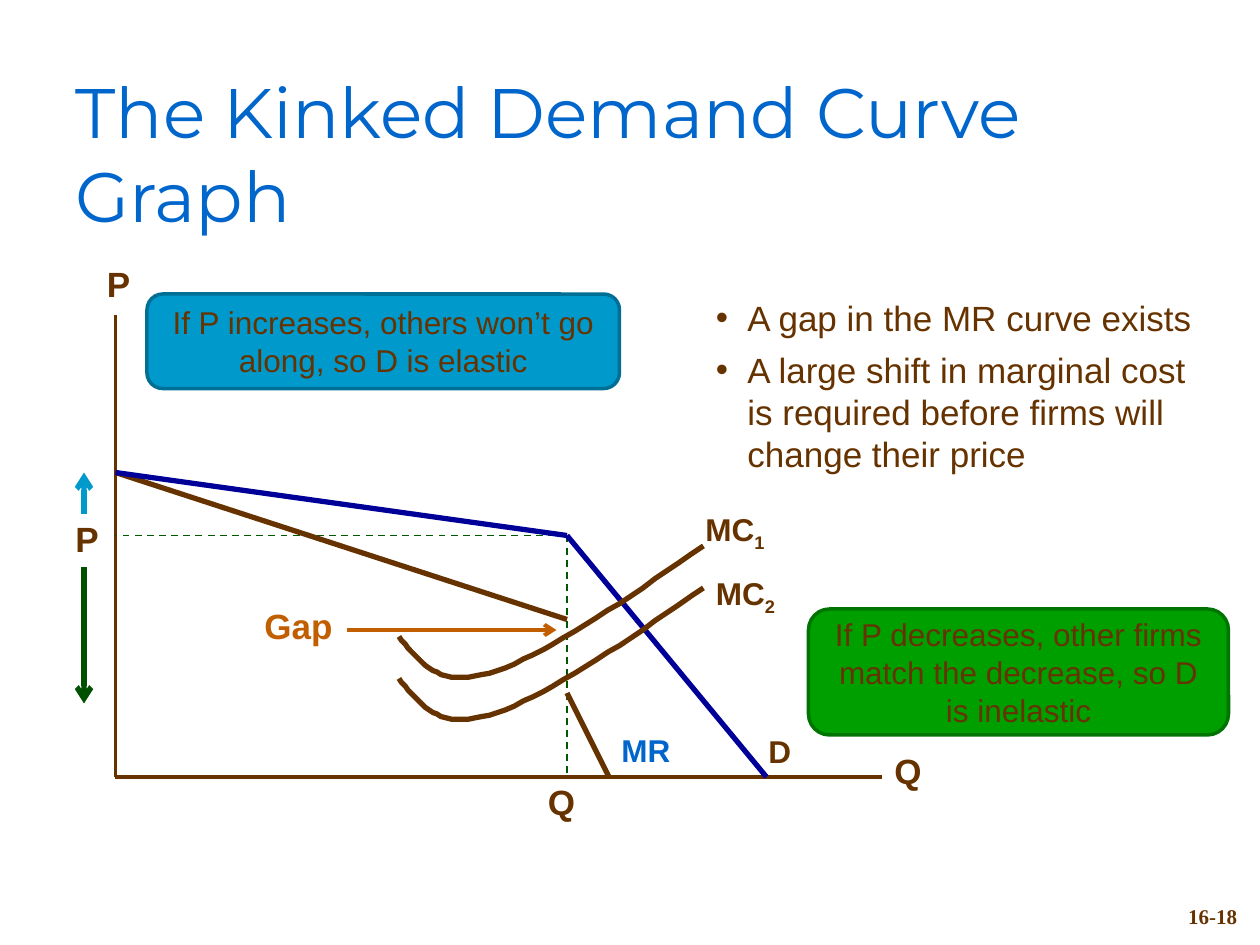
from dataclasses import dataclass

from lxml.etree import SubElement
from pptx import Presentation
from pptx.dml.color import RGBColor
from pptx.enum.dml import MSO_LINE_DASH_STYLE as Dash
from pptx.enum.shapes import MSO_CONNECTOR as Connector, MSO_SHAPE as Shape
from pptx.enum.text import MSO_ANCHOR as Anchor, MSO_AUTO_SIZE as AutoSize, PP_ALIGN as Align
from pptx.oxml.ns import qn
from pptx.util import Emu, Pt

PX = 9525  # EMU in one px, 96 px to the inch


@dataclass(frozen=True)
class Theme:
    brown: str = "663300"
    blue: str = "0066CC"
    navy: str = "000099"
    cyan: str = "0099CC"
    cyan_edge: str = "006F95"
    green: str = "009F00"
    green_edge: str = "007400"
    dark_green: str = "005000"
    guide: str = "005800"
    orange: str = "C05E00"
    title_font: str = "Montserrat"
    body_font: str = "Arial"
    number_font: str = "Times New Roman"
    title_size: int = 40
    body_size: int = 20
    label_size: int = 18
    number_size: int = 12
    curve_width: float = 3
    axis_width: float = 2.25
    edge_width: float = 2
    guide_width: float = 1


@dataclass(frozen=True)
class Box:
    left: int
    top: int
    width: int
    height: int

    def inner(self, left, top, width, height):
        return Box(self.left + left, self.top + top, width, height)

    def point(self, x, y):
        return self.left + x, self.top + y

    def emu(self):
        return [Emu(v * PX) for v in (self.left, self.top, self.width, self.height)]


THEME = Theme()


def set_values(target, values):
    for name, value in values.items():
        setattr(target, name, value)


def write(para, text, size, color=THEME.brown, font=THEME.body_font, bold=False, base=None):
    span = para.add_run()
    span.text = text
    set_values(span.font, {"name": font, "size": Pt(size), "bold": bold})
    span.font.color.rgb = RGBColor.from_string(color)
    if base is not None:
        span.font._element.set("baseline", str(base))


def add_text_box(page, box, anchor=Anchor.TOP):
    frame = page.shapes.add_textbox(*box.emu()).text_frame
    set_values(frame, {"word_wrap": True, "vertical_anchor": anchor})
    return frame


def style_line(line, color, width):
    line.color.rgb = RGBColor.from_string(color)
    line.width = Pt(width)


def add_line(page, box, start, end, color, width=THEME.curve_width, dashed=False, arrow=False):
    ends = [Emu(v * PX) for v in box.point(*start) + box.point(*end)]
    line = page.shapes.add_connector(Connector.STRAIGHT, *ends)
    style_line(line.line, color, width)
    if dashed:
        line.line.dash_style = Dash.DASH
    properties = line._element.spPr
    if arrow:
        SubElement(properties.find(qn("a:ln")), qn("a:tailEnd"), type="arrow")
    SubElement(properties, qn("a:effectLst"))


def bezier(start, first, second, end, steps=20):
    for step in range(1, steps + 1):
        t = step / steps
        weights = ((1 - t) ** 3, 3 * t * (1 - t) ** 2, 3 * t * t * (1 - t), t ** 3)
        yield tuple(sum(w * p[axis] for w, p in zip(weights, (start, first, second, end)))
                    for axis in (0, 1))


def add_cost_curve(page, box, drop):
    controls = [box.point(x, y + drop) for x, y in (
        (216, 245), (232, 265), (246, 284), (285, 273), (324, 261), (386, 219), (448, 176))]
    points = [*bezier(*controls[:4]), *bezier(*controls[3:])]
    builder = page.shapes.build_freeform(*controls[0], scale=PX)
    builder.add_line_segments(points, close=False)
    curve = builder.convert_to_shape()
    curve.shadow.inherit = False
    curve.fill.background()
    style_line(curve.line, THEME.brown, THEME.curve_width)


def add_label(page, box, text, size, color=THEME.brown, subscript="", spacing=None):
    para = add_text_box(page, box).paragraphs[0]
    if spacing:
        para.line_spacing = Pt(spacing)
    write(para, text, size, color, bold=True)
    if subscript:
        write(para, subscript, size, color, bold=True, base=-25000)


def add_title(page, box, text):
    title = page.shapes.title
    set_values(title, dict(zip(("left", "top", "width", "height"), box.emu())))
    frame = title.text_frame
    set_values(frame, {"word_wrap": True, "auto_size": AutoSize.NONE,
                       "vertical_anchor": Anchor.MIDDLE})
    para = frame.paragraphs[0]
    para.alignment = Align.LEFT
    write(para, text, THEME.title_size, THEME.blue, THEME.title_font)


def add_bullets(page, box, lines):
    frame = add_text_box(page, box)
    for index, text in enumerate(lines):
        para = frame.add_paragraph() if index else frame.paragraphs[0]
        if index:
            para.space_before = Pt(6)
        properties = para._p.get_or_add_pPr()
        properties.set("marL", str(24 * PX))
        properties.set("indent", str(-24 * PX))
        SubElement(properties, qn("a:buFont"), typeface=THEME.body_font)
        SubElement(properties, qn("a:buChar"), char="•")
        write(para, text, THEME.body_size)


def add_callout(page, box, text, fill, edge):
    callout = page.shapes.add_shape(Shape.ROUNDED_RECTANGLE, *box.emu())
    callout.shadow.inherit = False
    callout.fill.solid()
    callout.fill.fore_color.rgb = RGBColor.from_string(fill)
    style_line(callout.line, edge, THEME.edge_width)
    set_values(callout.text_frame, {"word_wrap": True, "vertical_anchor": Anchor.MIDDLE})
    para = callout.text_frame.paragraphs[0]
    para.alignment = Align.CENTER
    write(para, text, THEME.label_size)


def add_graph(page, box):
    corner, intercept, kink = (0, box.height), (0, 120), (344, 168)

    # Axes and guides to the kink
    for end in ((0, 0), (box.width, box.height)):
        add_line(page, box, corner, end, THEME.brown, THEME.axis_width)
    for end in ((0, kink[1]), (kink[0], box.height)):
        add_line(page, box, kink, end, THEME.guide, THEME.guide_width, dashed=True)

    # Marginal revenue with its gap, then kinked demand
    add_line(page, box, intercept, (kink[0], 232), THEME.brown)
    add_line(page, box, (kink[0], 288), (376, box.height), THEME.brown)
    add_line(page, box, intercept, kink, THEME.navy)
    add_line(page, box, kink, (496, box.height), THEME.navy)

    # Marginal cost before and after the shift
    for drop in (0, 32):
        add_cost_curve(page, box, drop)

    # Price moves and gap pointer
    add_line(page, box, (-24, 152), (-24, 120), THEME.cyan, arrow=True)
    add_line(page, box, (-24, 192), (-24, 296), THEME.dark_green, arrow=True)
    add_line(page, box, (176, 240), (336, 240), THEME.orange, THEME.axis_width, arrow=True)

    # Labels
    big, small = THEME.body_size, THEME.label_size
    for place, text, size, extras in (
        ((-16, -34, 72, 31), "P", big, {"spacing": 16}),
        ((-40, 160, 88, 31), "P", big, {"spacing": 16}),
        ((584, 326, 56, 42), "Q", big, {}),
        ((320, 350, 96, 42), "Q", big, {}),
        ((104, 216, 72, 42), "Gap", big, {"color": THEME.orange}),
        ((440, 144, 80, 42), "MC", small, {"subscript": "1"}),
        ((448, 193, 80, 42), "MC", small, {"subscript": "2"}),
        ((488, 313, 72, 38), "D", small, {}),
        ((376, 312, 64, 38), "MR", small, {"color": THEME.blue}),
    ):
        add_label(page, box.inner(*place), text, size, **extras)


def add_page_number(page, box, text):
    para = add_text_box(page, box, Anchor.BOTTOM).paragraphs[0]
    para.alignment = Align.RIGHT
    write(para, text, THEME.number_size, font=THEME.number_font, bold=True)


def main():
    deck = Presentation()
    deck.slide_width, deck.slide_height = Emu(960 * PX), Emu(720 * PX)
    page = deck.slides.add_slide(deck.slide_layouts[5])
    add_title(page, Box(48, 80, 864, 72), "The Kinked Demand Curve Graph")
    add_bullets(page, Box(536, 221, 392, 146), (
        "A gap in the MR curve exists",
        "A large shift in marginal cost is required before firms will change their price"))
    add_graph(page, Box(88, 240, 584, 352))
    add_callout(page, Box(112, 224, 360, 72),
                "If P increases, others won’t go along, so D is elastic",
                THEME.cyan, THEME.cyan_edge)
    add_callout(page, Box(616, 464, 320, 96),
                "If P decreases, other firms match the decrease, so D is inelastic",
                THEME.green, THEME.green_edge)
    add_page_number(page, Box(752, 664, 200, 48), "16-18")
    deck.save("out.pptx")


if __name__ == "__main__":
    main()
